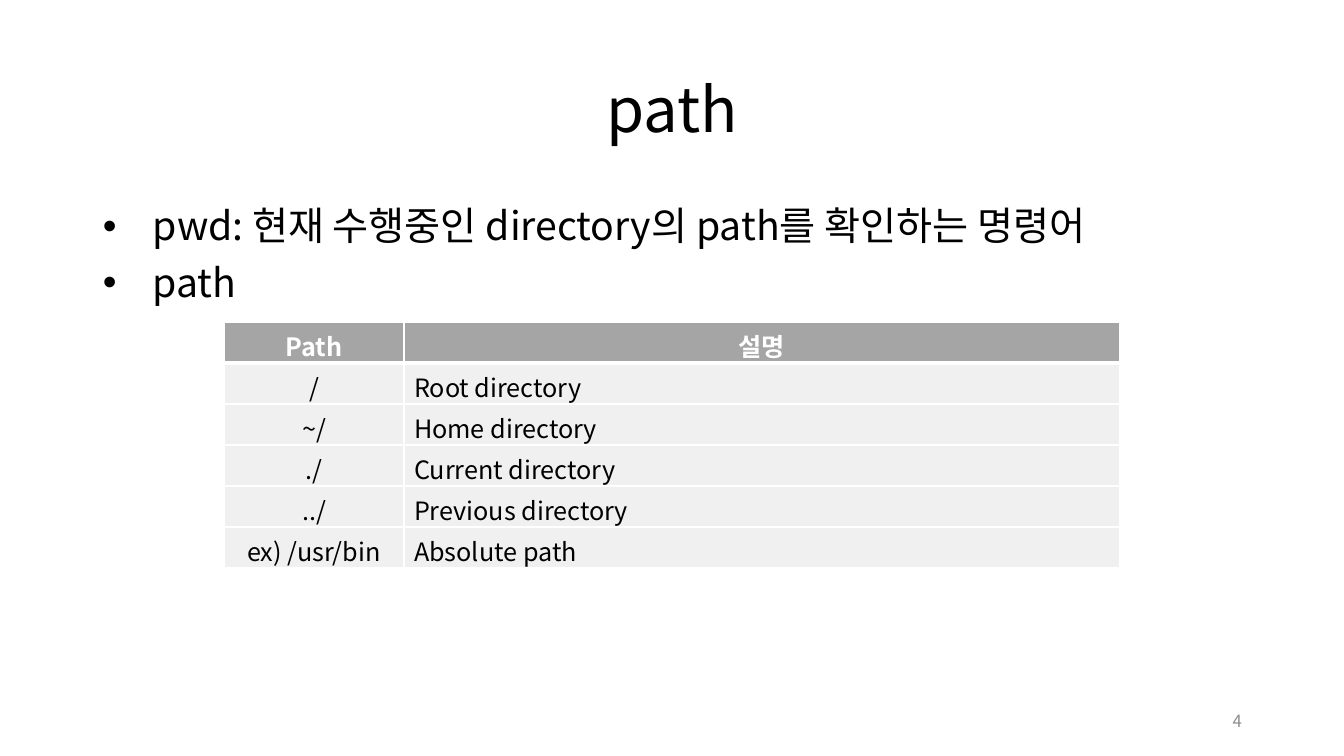
from lxml import etree
from pptx import Presentation
from pptx.dml.color import RGBColor
from pptx.enum.text import MSO_ANCHOR, PP_ALIGN
from pptx.oxml.ns import qn
from pptx.util import Pt

PX = 914400 / 100.8
FONT = "Noto Sans CJK KR"
BLACK = RGBColor(0x00, 0x00, 0x00)
WHITE = RGBColor(0xFF, 0xFF, 0xFF)
HEADER_GRAY = RGBColor(0xA5, 0xA5, 0xA5)
ROW_GRAY = RGBColor(0xF0, 0xF0, 0xF0)
NUMBER_GRAY = RGBColor(0x8C, 0x8C, 0x8C)
LEFT, CENTER, RIGHT = PP_ALIGN.LEFT, PP_ALIGN.CENTER, PP_ALIGN.RIGHT
MIDDLE = MSO_ANCHOR.MIDDLE


def px(*lengths):
    return [round(n * PX) for n in lengths]


def write(p, text, size, color=BLACK, bold=False, **layout):
    r = p.add_run()
    r.text = text
    for name, value in dict(name=FONT, size=Pt(size), bold=bold).items():
        setattr(r.font, name, value)
    r.font.color.rgb = color
    etree.SubElement(r.font._element, qn("a:ea"), typeface=FONT)
    for name, value in layout.items():
        setattr(p, name, value)


prs = Presentation()
prs.slide_width, prs.slide_height = px(1344, 756)
s = prs.slides.add_slide(prs.slide_layouts[5])

# Title
title = s.shapes.title
title.left, title.top, title.width, title.height = px(93, 40, 1159, 146)
tf = title.text_frame
tf.vertical_anchor = MIDDLE
write(tf.paragraphs[0], "path", 44, alignment=CENTER, line_spacing=0.9)

# Bulleted text
tf = s.shapes.add_textbox(*px(93, 202, 1159, 480)).text_frame
tf.word_wrap = True
bullets = ["pwd: 현재 수행중인 directory의 path를 확인하는 명령어", "path"]
indent = px(50)[0]
for i, text in enumerate(bullets):
    p = tf.add_paragraph() if i else tf.paragraphs[0]
    write(p, text, 28, line_spacing=0.9, space_before=Pt(10))
    pPr = p._p.get_or_add_pPr()
    pPr.set("marL", str(indent))
    pPr.set("indent", str(-indent))
    etree.SubElement(pPr, qn("a:buFont"), typeface="Arial")
    etree.SubElement(pPr, qn("a:buChar"), char="•")

# Path table
rows = [
    ("Path", "설명"),
    ("/", "Root directory"),
    ("~/", "Home directory"),
    ("./", "Current directory"),
    ("../", "Previous directory"),
    ("ex) /usr/bin", "Absolute path"),
]
table = s.shapes.add_table(len(rows), 2, *px(224, 322, 896, 246)).table
for column, width in zip(table.columns, px(180, 716)):
    column.width = width
for i, row in enumerate(rows):
    header = i == 0
    for j, text in enumerate(row):
        cell = table.cell(i, j)
        tcPr = cell._tc.get_or_add_tcPr()
        for side in "LRTB":
            thick = (i, side) in ((0, "B"), (1, "T"))
            ln = etree.SubElement(tcPr, qn("a:ln" + side), w=str(Pt(3 if thick else 1)))
            fill = etree.SubElement(ln, qn("a:solidFill"))
            etree.SubElement(fill, qn("a:srgbClr"), val=str(WHITE))
        cell.fill.solid()
        cell.fill.fore_color.rgb = HEADER_GRAY if header else ROW_GRAY
        write(cell.text_frame.paragraphs[0], text, 18, WHITE if header else BLACK,
              header, alignment=CENTER if header or j == 0 else LEFT)

# Slide number
tf = s.shapes.add_textbox(*px(950, 701, 302, 40)).text_frame
tf.word_wrap = True
tf.vertical_anchor = MIDDLE
write(tf.paragraphs[0], "4", 12, NUMBER_GRAY, alignment=RIGHT)

prs.save("out.pptx")
